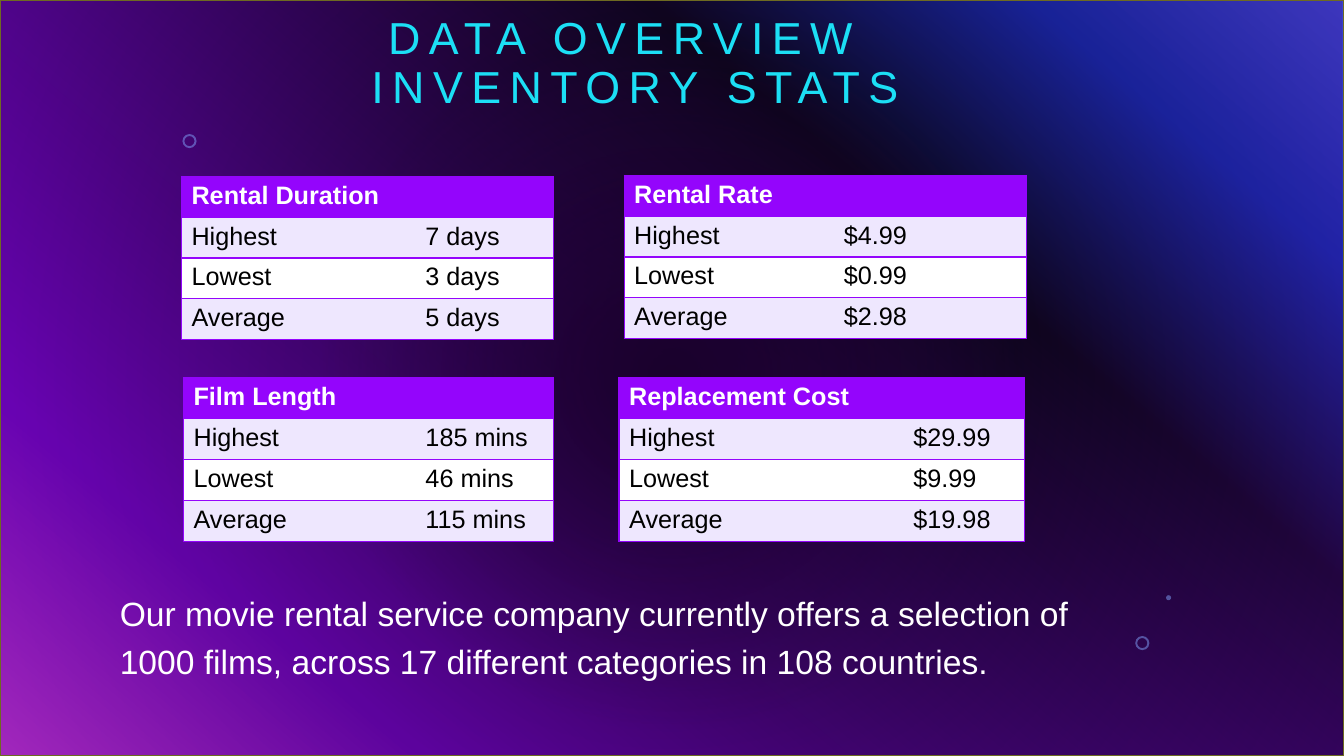
import copy
import pptx
import pptx.util
import pptx.dml.color
import pptx.enum.shapes
import pptx.enum.text
import pptx.oxml
import pptx.oxml.ns

SLIDE_W, SLIDE_H = 13.33, 7.5
FONT = "Arial"
COLORS = {
    "title": "1CDFF5", "purple": "9405FC", "lilac": "EEE7FE", "white": "FFFFFF",
    "black": "000000", "ornament": "83A7FD", "frame": "6E6A21",
}
BACKDROP = [(0, "316CFC", 100), (14, "0343DF", 100), (31, "02090E", 100),
            (81, "9405FC", 100), (100, "FC4EFB", 100)]
VEIL = [(0, "1A012C", 100), (45, "1A012C", 50), (100, "4A027F", 50)]
LINEAR = '<a:lin ang="7800000" scaled="0"/>'
RADIAL = '<a:path path="circle"><a:fillToRect l="50000" t="50000" r="50000" b="50000"/></a:path>'

TITLE = "DATA OVERVIEW \vINVENTORY STATS"
SUMMARY = ("Our movie rental service company currently offers a selection of "
           "1000 films, across 17 different categories in 108 countries.")
MEASURES = ("Highest", "Lowest", "Average")
TABLES = [
    ("Rental Duration", ("7 days", "3 days", "5 days"), (1.8, 1.75), (2.32, 1.37)),
    ("Film Length", ("185 mins", "46 mins", "115 mins"), (1.82, 3.75), (2.3, 1.37)),
    ("Replacement Cost", ("$29.99", "$9.99", "$19.98"), (6.14, 3.75), (2.82, 1.2)),
    ("Rental Rate", ("$4.99", "$0.99", "$2.98"), (6.19, 1.74), (2.08, 1.91)),
]
ROW_H = 1.62 / 4
ORNAMENTS = [("DONUT", 1.88, 1.4, 0.14), ("DONUT", 11.33, 6.38, 0.14), ("OVAL", 11.59, 5.93, 0.05)]
NO_STYLE = "{2D5ABB26-0587-4C30-8999-92F81FD0307C}"

inch = pptx.util.Inches
qn = pptx.oxml.ns.qn
NS = pptx.oxml.ns.nsdecls("a")


def rgb(name):
    return pptx.dml.color.RGBColor.from_string(COLORS[name])


def set_gradient(fill, element, stops, direction):
    fill.gradient()
    old = next(element.iter(qn("a:gradFill")))
    marks = "".join(
        f'<a:gs pos="{pos * 1000}"><a:srgbClr val="{color}">'
        f'<a:alpha val="{alpha * 1000}"/></a:srgbClr></a:gs>'
        for pos, color, alpha in stops)
    old.getparent().replace(old, pptx.oxml.parse_xml(
        f'<a:gradFill {NS} rotWithShape="1"><a:gsLst>{marks}</a:gsLst>{direction}</a:gradFill>'))


def style(p, size, color, bold=False):
    for r in p.runs:
        r.font.name = FONT
        r.font.size = pptx.util.Pt(size)
        r.font.bold = bold
        r.font.color.rgb = rgb(color)


def set_borders(cell, sides):
    tcPr = cell._tc.get_or_add_tcPr()
    for i, side in enumerate(sides):
        tcPr.insert(i, pptx.oxml.parse_xml(
            f'<a:ln{side} {NS} w="12700"><a:solidFill><a:srgbClr val="{COLORS["purple"]}"/>'
            f'</a:solidFill></a:ln{side}>'))


def add_stats(slide, heading, values, corner, widths):
    frame = slide.shapes.add_table(4, 2, *map(inch, (*corner, sum(widths), 4 * ROW_H)))
    table = frame.table
    next(table._tbl.iter(qn("a:tableStyleId"))).text = NO_STYLE
    for column, width in zip(table.columns, widths):
        column.width = inch(width)
    for i, texts in enumerate([(heading, ""), *zip(MEASURES, values)]):
        table.rows[i].height = inch(ROW_H)
        for j, text in enumerate(texts):
            cell = table.cell(i, j)
            cell.text = text
            style(cell.text_frame.paragraphs[0], 18, "black" if i else "white", i == 0)
            cell.fill.solid()
            cell.fill.fore_color.rgb = rgb(("purple", "lilac", "white", "lilac")[i])
            set_borders(cell, ("R" if j else "L") + "TB")


def main():
    prs = pptx.Presentation()
    prs.slide_width, prs.slide_height = inch(SLIDE_W), inch(SLIDE_H)
    slide = prs.slides.add_slide(prs.slide_layouts[5])
    set_gradient(slide.background.fill, slide._element, BACKDROP, LINEAR)
    kinds = pptx.enum.shapes.MSO_SHAPE

    veil = slide.shapes.add_shape(kinds.RECTANGLE, 0, 0, prs.slide_width, prs.slide_height)
    veil.shadow.inherit = False
    set_gradient(veil.fill, veil._element, VEIL, RADIAL)
    veil.line.color.rgb = rgb("frame")
    veil.line.width = pptx.util.Pt(1)
    slide.shapes._spTree.insert(2, veil._element)

    for kind, x, y, size in ORNAMENTS:
        sp = slide.shapes.add_shape(getattr(kinds, kind), inch(x - size / 2), inch(y - size / 2),
                                    inch(size), inch(size))
        sp.shadow.inherit = False
        sp.fill.solid()
        sp.fill.fore_color.rgb = rgb("ornament")
        next(sp._element.spPr.iter(qn("a:srgbClr"))).append(
            pptx.oxml.parse_xml(f'<a:alpha {NS} val="49000"/>'))
        sp.line.fill.background()
        if kind == "DONUT":
            sp.adjustments[0] = 0.14

    title = slide.shapes.title
    title.left, title.top, title.width, title.height = map(inch, (3.26, -0.48, 6.08, 1.65))
    tf = title.text_frame
    tf.text = TITLE
    tf.word_wrap = True
    tf.auto_size = pptx.enum.text.MSO_AUTO_SIZE.NONE
    tf.vertical_anchor = pptx.enum.text.MSO_ANCHOR.BOTTOM
    p = tf.paragraphs[0]
    p.alignment = pptx.enum.text.PP_ALIGN.CENTER
    p.line_spacing = 0.9
    style(p, 32, "title")
    for r in p.runs:
        r._r.get_or_add_rPr().set("spc", "600")
    for br in p._p.findall(qn("a:br")):
        br.append(copy.deepcopy(p.runs[0]._r.rPr))

    for stats in TABLES:
        add_stats(slide, *stats)

    tf = slide.shapes.add_textbox(*map(inch, (1.09, 5.75, 10.28, 1.03))).text_frame
    tf.word_wrap = True
    tf.text = SUMMARY
    p = tf.paragraphs[0]
    p.line_spacing = 1.2
    p.space_before, p.space_after = pptx.util.Pt(10), pptx.util.Pt(6)
    style(p, 24, "white")

    prs.save("out.pptx")


if __name__ == "__main__":
    main()
